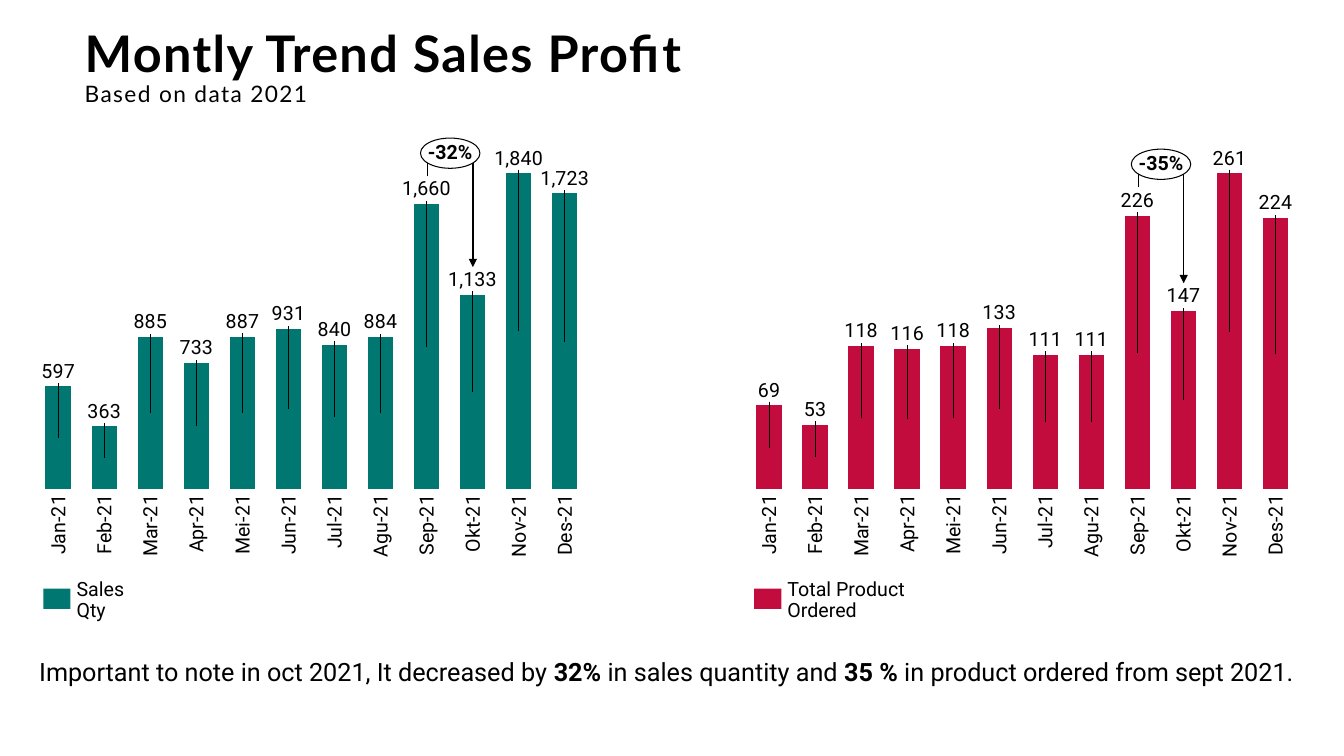
import dataclasses

import lxml.etree
import pptx
import pptx.chart.data
import pptx.dml.color
import pptx.enum.chart
import pptx.enum.shapes
import pptx.enum.text
import pptx.oxml
import pptx.oxml.ns
import pptx.util

Inches = pptx.util.Inches
Pt = pptx.util.Pt
qn = pptx.oxml.ns.qn
Align = pptx.enum.text.PP_ALIGN
Anchor = pptx.enum.text.MSO_ANCHOR
Shapes = pptx.enum.shapes.MSO_SHAPE

BLACK = "000000"
WHITE = "FFFFFF"
CHART_WIDTH = 5.66
CHART_BOTTOM = 4.94
PLOT_TOP = 1.72
PLOT_HEIGHT = 3.13
PLOT_SIDE = 0.09
MONTH_STEP = (CHART_WIDTH - 2 * PLOT_SIDE) / 12
LABEL_GAP = 0.15
LEADER_LINES = (
    '<c:extLst xmlns:c="http://schemas.openxmlformats.org/drawingml/2006/chart">'
    '<c:ext uri="{CE6537A1-D6FC-4f65-9D91-7224C49458BB}" '
    'xmlns:c15="http://schemas.microsoft.com/office/drawing/2012/chart">'
    '<c15:showLeaderLines val="1"/></c:ext></c:extLst>'
)


@dataclasses.dataclass
class Month:
    name: str
    length: float


@dataclasses.dataclass
class Panel:
    legend: str
    legend_width: float
    color: str
    left: float
    top: float
    values: list[int]
    change: str
    bracket_start: float
    bracket_top: float
    bracket_end: float


MONTHS = [
    Month("Jan-21", 0.55), Month("Feb-21", 0.57), Month("Mar-21", 0.59),
    Month("Apr-21", 0.54), Month("Mei-21", 0.57), Month("Jun-21", 0.56),
    Month("Jul-21", 0.49), Month("Agu-21", 0.58), Month("Sep-21", 0.59),
    Month("Okt-21", 0.55), Month("Nov-21", 0.59), Month("Des-21", 0.59),
]
PANELS = [
    Panel("Sales Qty", 0.76, "007770", 0.26, 1.43,
          [597, 363, 885, 733, 887, 931, 840, 884, 1660, 1133, 1840, 1723],
          "-32%", 1.75, 1.52, 2.65),
    Panel("Total Product Ordered", 1.77, "C30C3E", 7.31, 1.45,
          [69, 53, 118, 116, 118, 133, 111, 111, 226, 147, 261, 224],
          "-35%", 1.86, 1.63, 2.81),
]
NOTE = [
    ("Important to note in oct 2021, It decreased by ", False),
    ("32% ", True),
    ("in sales quantity and ", False),
    ("35 %", True),
    (" in product ordered from sept 2021.", False),
]


def rgb(value: str) -> pptx.dml.color.RGBColor:
    return pptx.dml.color.RGBColor.from_string(value)


def style_font(font, size: float, bold: bool = False, name: str = "Roboto") -> None:
    font.name = name
    font.size = Pt(size)
    font.bold = bold
    font.color.rgb = rgb(BLACK)


def clear_insets(frame) -> None:
    frame.margin_left = frame.margin_top = frame.margin_right = frame.margin_bottom = 0


def write_label(box, text: str, align: Align, bold: bool = False) -> None:
    frame = box.text_frame
    clear_insets(frame)
    frame.word_wrap = False
    frame.vertical_anchor = Anchor.MIDDLE
    frame.text = text
    para = frame.paragraphs[0]
    para.alignment = align
    para.line_spacing = 0.9
    style_font(para.runs[0].font, 14, bold)


def add_label(page, text: str, left: float, top: float, width: float, height: float, align: Align):
    box = page.shapes.add_textbox(Inches(left), Inches(top), Inches(width), Inches(height))
    write_label(box, text, align)
    return box


def add_block(page, kind: Shapes, fill: str, left: float, top: float, width: float, height: float):
    block = page.shapes.add_shape(kind, Inches(left), Inches(top), Inches(width), Inches(height))
    block.shadow.inherit = False
    block.fill.solid()
    block.fill.fore_color.rgb = rgb(fill)
    block.line.fill.background()
    return block


def add_line(page, x1: float, y1: float, x2: float, y2: float, arrow: bool = False) -> None:
    line = page.shapes.add_connector(
        pptx.enum.shapes.MSO_CONNECTOR.STRAIGHT, Inches(x1), Inches(y1), Inches(x2), Inches(y2))
    line.line.color.rgb = rgb(BLACK)
    line.line.width = Pt(1)
    properties = line._element.spPr
    if arrow:
        lxml.etree.SubElement(properties.find(qn("a:ln")), qn("a:tailEnd"), type="triangle")
    lxml.etree.SubElement(properties, qn("a:effectLst"))


def make_layout(**settings: str | float):
    layout = pptx.oxml.parse_xml(
        '<c:layout xmlns:c="http://schemas.openxmlformats.org/drawingml/2006/chart"/>')
    manual = lxml.etree.SubElement(layout, qn("c:manualLayout"))
    for key, value in settings.items():
        lxml.etree.SubElement(manual, qn(f"c:{key}"), val=str(value))
    return layout


def add_bars(page, panel: Panel) -> None:
    height = CHART_BOTTOM - panel.top
    peak = max(panel.values)
    data = pptx.chart.data.CategoryChartData(number_format="#,##0")
    data.categories = [str(number) for number in range(1, len(MONTHS) + 1)]
    data.add_series("Series 1", panel.values)
    chart = page.shapes.add_chart(
        pptx.enum.chart.XL_CHART_TYPE.COLUMN_STACKED, Inches(panel.left), Inches(panel.top),
        Inches(CHART_WIDTH), Inches(height), data).chart
    chart.has_legend = False
    chart.has_title = False
    style_font(chart.font, 14)

    months = chart.category_axis
    months.tick_label_position = pptx.enum.chart.XL_TICK_LABEL_POSITION.NONE
    months.major_tick_mark = pptx.enum.chart.XL_TICK_MARK.NONE
    months.format.line.color.rgb = rgb(WHITE)
    months.format.line.width = Pt(0.75)
    scale = chart.value_axis
    scale.minimum_scale = 0
    scale.maximum_scale = peak
    scale.has_major_gridlines = False
    scale.visible = False

    plot = chart.plots[0]
    plot.gap_width = 80
    plot.overlap = 100
    plot.vary_by_categories = False
    area = chart._chartSpace.chart.plotArea
    for layout in area.findall(qn("c:layout")):
        area.remove(layout)
    area.insert(0, make_layout(
        layoutTarget="inner", xMode="edge", yMode="edge",
        x=PLOT_SIDE / CHART_WIDTH, y=(PLOT_TOP - panel.top) / height,
        w=1 - 2 * PLOT_SIDE / CHART_WIDTH, h=PLOT_HEIGHT / height))

    series = plot.series[0]
    series.format.fill.solid()
    series.format.fill.fore_color.rgb = rgb(panel.color)
    labels = series.data_labels
    labels.show_value = True
    labels.number_format = "#,##0"
    labels.number_format_is_linked = False
    for index, value in enumerate(panel.values):
        label = series.points[index].data_label
        style_font(label.font, 14)
        label.position = pptx.enum.chart.XL_LABEL_POSITION.CENTER
        rise = value / peak * PLOT_HEIGHT / 2 + LABEL_GAP
        labels._element.findall(qn("c:dLbl"))[index].insert(
            1, make_layout(x=0, y=-rise / height))
    labels._element.append(pptx.oxml.parse_xml(LEADER_LINES))


def add_panel(page, panel: Panel) -> None:
    add_bars(page, panel)
    september = panel.left + 3.98
    october = panel.left + 4.43
    add_line(page, september, panel.bracket_start, september, panel.bracket_top)
    add_line(page, september, panel.bracket_top, october, panel.bracket_top)
    add_line(page, october, panel.bracket_top, october, panel.bracket_end, arrow=True)
    for index, month in enumerate(MONTHS):
        left = panel.left + 0.22 + index * MONTH_STEP
        box = add_label(page, month.name, left, 4.91, 0.21, month.length, Align.RIGHT)
        box.text_frame._txBody.bodyPr.set("vert", "vert270")
    bubble = add_block(
        page, Shapes.OVAL, WHITE, panel.left + 3.91, panel.bracket_top - 0.15, 0.59, 0.3)
    bubble.line.color.rgb = rgb(BLACK)
    bubble.line.width = Pt(0.75)
    write_label(bubble, panel.change, Align.CENTER, bold=True)
    add_block(page, Shapes.RECTANGLE, panel.color, panel.left + 0.17, 5.84, 0.27, 0.2)
    add_label(page, panel.legend, panel.left + 0.5, 5.85, panel.legend_width, 0.21, Align.LEFT)


def add_title(page) -> None:
    title = page.shapes.title
    title.left, title.top, title.width, title.height = map(Inches, (0.84, 0.4, 7.37, 0.67))
    frame = title.text_frame
    clear_insets(frame)
    frame.word_wrap = True
    frame.auto_size = pptx.enum.text.MSO_AUTO_SIZE.NONE
    frame.vertical_anchor = Anchor.BOTTOM
    frame.text = "Montly Trend Sales Profit\vBased on data 2021"
    para = frame.paragraphs[0]
    para.alignment = Align.LEFT
    para.line_spacing = 0.9
    for span, size, bold in zip(para.runs, (36, 16.2), (True, False)):
        style_font(span.font, size, bold, "Lato")
        span._r.get_or_add_rPr().set("spc", "100")
    lxml.etree.SubElement(para._p.find(qn("a:br")), qn("a:rPr"), sz="3600")


def add_note(page) -> None:
    box = page.shapes.add_textbox(Inches(0.29), Inches(6.46), Inches(12.69), Inches(0.4))
    frame = box.text_frame
    frame.word_wrap = True
    frame.auto_size = pptx.enum.text.MSO_AUTO_SIZE.SHAPE_TO_FIT_TEXT
    for text, bold in NOTE:
        span = frame.paragraphs[0].add_run()
        span.text = text
        style_font(span.font, 18, bold)


def main() -> None:
    deck = pptx.Presentation()
    deck.slide_width = Inches(13.33)
    deck.slide_height = Inches(7.5)
    page = deck.slides.add_slide(deck.slide_layouts[5])
    add_title(page)
    for panel in PANELS:
        add_panel(page, panel)
    add_note(page)
    deck.save("out.pptx")


if __name__ == "__main__":
    main()
